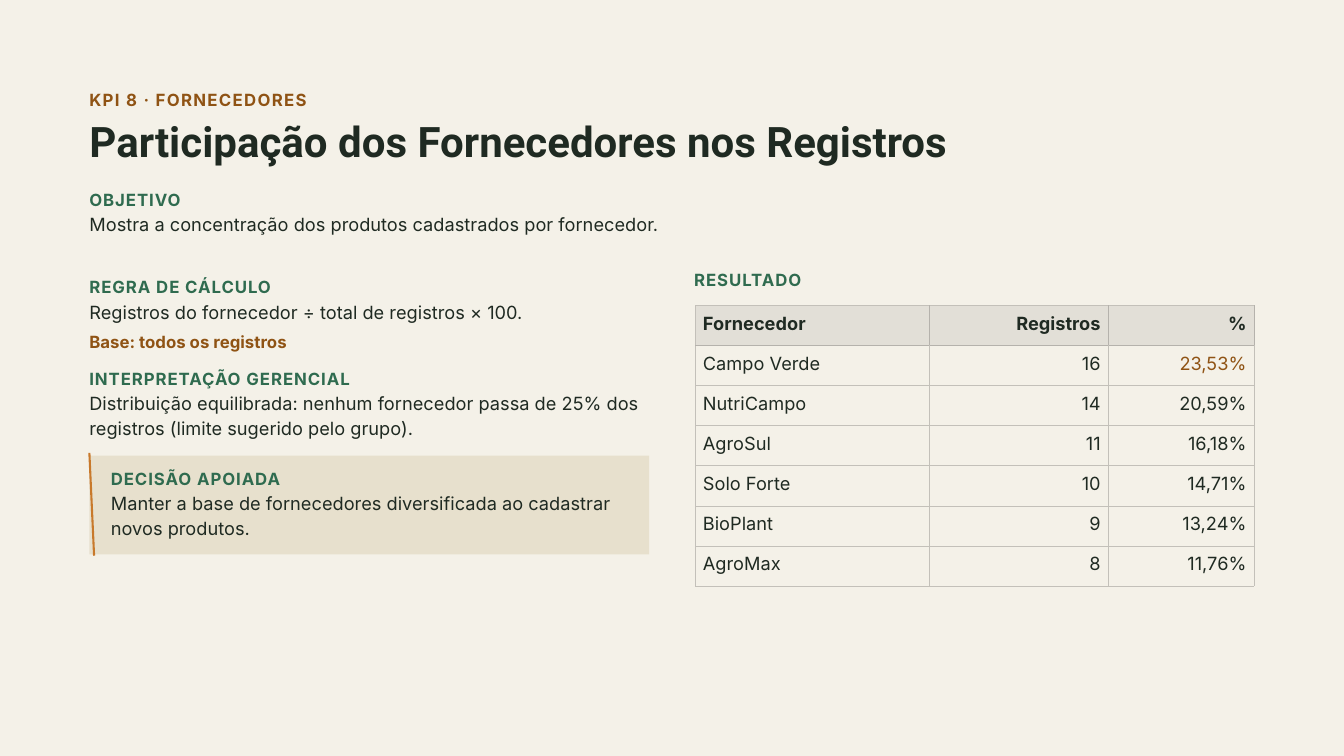
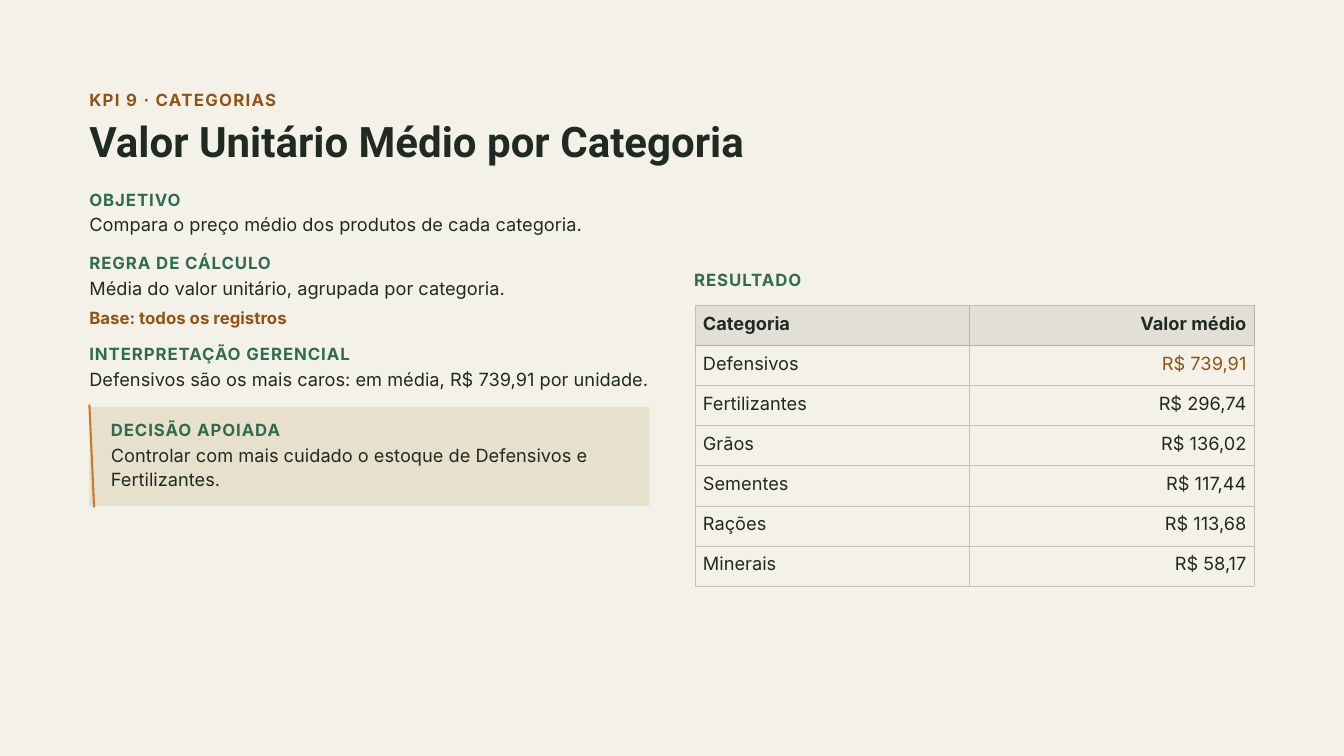
from dataclasses import dataclass

from lxml import etree
from pptx import Presentation
from pptx.dml.color import RGBColor
from pptx.enum.shapes import MSO_CONNECTOR, MSO_SHAPE
from pptx.enum.text import MSO_AUTO_SIZE, PP_ALIGN
from pptx.oxml.ns import qn
from pptx.util import Inches, Pt

# Shared colours
CREAM = RGBColor(0xF4, 0xF1, 0xE8)
INK = RGBColor(0x1F, 0x2A, 0x22)
GREEN = RGBColor(0x2F, 0x6B, 0x4F)
BROWN = RGBColor(0x8F, 0x53, 0x14)
ORANGE = RGBColor(0xC8, 0x79, 0x2B)
SAND = RGBColor(0xE7, 0xE0, 0xCD)
HEADER_FILL = RGBColor(0xE2, 0xDF, 0xD7)
GRID = RGBColor(0xC3, 0xC0, 0xB9)
HEADER_GRID = RGBColor(0xB5, 0xB2, 0xAC)

# Shared layout, in inches
LEFT = 1.33
TEXT_W = 8.58
PANEL_W = 8.33
PANEL_H = 1.47
PANEL_INDENT = 0.32
HEADING_STEP = 0.32
BASE_STEP = 0.46
BASE_H = 0.41
SECTION_GAP = 0.17
TABLE_LEFT, TABLE_TOP, TABLE_H = 10.35, 4.55, 4.17


@dataclass(frozen=True)
class TextStyle:
    size: float
    color: RGBColor
    line: float
    bold: bool = True
    font: str = "Inter"
    spacing: float = 0


KICKER = TextStyle(18, BROWN, 21.6, spacing=1.4)
TITLE = TextStyle(45, INK, 49.5, font="Roboto")
HEADING = TextStyle(18, GREEN, 21.6, spacing=1)
BODY = TextStyle(19.5, INK, 26.3, bold=False)
BASE = TextStyle(18, BROWN, 24.3)
CELL = TextStyle(19.5, INK, 23.4, bold=False)
CELL_HIGHLIGHT = TextStyle(19.5, BROWN, 23.4, bold=False)
CELL_HEADER = TextStyle(19.5, INK, 23.4)


@dataclass(frozen=True)
class Section:
    heading: str
    body: str
    lines: int = 1
    base: str = ""
    width: float = TEXT_W


@dataclass(frozen=True)
class KpiSlide:
    kicker: str
    title: str
    sections: list[Section]
    decision: str
    col_widths: list[float]
    rows: list[list[str]]


KPIS = [
    KpiSlide(
        "KPI 8 · FORNECEDORES",
        "Participação dos Fornecedores nos Registros",
        [
            Section("OBJETIVO", "Mostra a concentração dos produtos cadastrados por fornecedor.", 2),
            Section("REGRA DE CÁLCULO", "Registros do fornecedor ÷ total de registros × 100.",
                    base="Base: todos os registros"),
            Section("INTERPRETAÇÃO GERENCIAL",
                    "Distribuição equilibrada: nenhum fornecedor passa de 25% dos registros "
                    "(limite sugerido pelo grupo).", 2),
        ],
        "Manter a base de fornecedores diversificada ao cadastrar novos produtos.",
        [3.48, 2.66, 2.17],
        [
            ["Fornecedor", "Registros", "%"],
            ["Campo Verde", "16", "23,53%"],
            ["NutriCampo", "14", "20,59%"],
            ["AgroSul", "11", "16,18%"],
            ["Solo Forte", "10", "14,71%"],
            ["BioPlant", "9", "13,24%"],
            ["AgroMax", "8", "11,76%"],
        ],
    ),
    KpiSlide(
        "KPI 9 · CATEGORIAS",
        "Valor Unitário Médio por Categoria",
        [
            Section("OBJETIVO", "Compara o preço médio dos produtos de cada categoria."),
            Section("REGRA DE CÁLCULO", "Média do valor unitário, agrupada por categoria.",
                    base="Base: todos os registros"),
            Section("INTERPRETAÇÃO GERENCIAL",
                    "Defensivos são os mais caros: em média, R$ 739,91 por unidade.", width=9.02),
        ],
        "Controlar com mais cuidado o estoque de Defensivos e Fertilizantes.",
        [4.07, 4.24],
        [
            ["Categoria", "Valor médio"],
            ["Defensivos", "R$ 739,91"],
            ["Fertilizantes", "R$ 296,74"],
            ["Grãos", "R$ 136,02"],
            ["Sementes", "R$ 117,44"],
            ["Rações", "R$ 113,68"],
            ["Minerais", "R$ 58,17"],
        ],
    ),
]


def write(tf, text: str, style: TextStyle, align=PP_ALIGN.LEFT) -> None:
    tf.text = text
    p = tf.paragraphs[0]
    p.alignment = align
    p.line_spacing = Pt(style.line)
    r = p.runs[0]
    r.font.size = Pt(style.size)
    r.font.name = style.font
    r.font.bold = style.bold
    r.font.color.rgb = style.color
    if style.spacing:
        r.font._element.set("spc", str(round(style.spacing * 100)))


def add_text(s, text: str, style: TextStyle, x: float, y: float, w: float, h: float) -> None:
    tf = s.shapes.add_textbox(Inches(x), Inches(y), Inches(w), Inches(h)).text_frame
    tf.word_wrap = True
    tf.auto_size = MSO_AUTO_SIZE.SHAPE_TO_FIT_TEXT
    tf.margin_left = tf.margin_right = tf.margin_top = tf.margin_bottom = 0
    write(tf, text, style)


def body_height(lines: int) -> float:
    return 0.09 + 0.36 * lines


def add_section(s, section: Section, x: float, y: float) -> float:
    """Draw a heading with its text and return the top of the next section."""
    add_text(s, section.heading, HEADING, x, y, section.width, 0.34)
    y += HEADING_STEP
    height = body_height(section.lines)
    add_text(s, section.body, BODY, x, y, section.width, height)
    if section.base:
        y += BASE_STEP
        height = BASE_H
        add_text(s, section.base, BASE, x, y, section.width, height)
    return y + height + SECTION_GAP


def add_decision(s, text: str, y: float) -> None:
    panel = s.shapes.add_shape(MSO_SHAPE.RECTANGLE, Inches(LEFT), Inches(y),
                               Inches(PANEL_W), Inches(PANEL_H))
    panel.shadow.inherit = False
    panel.fill.solid()
    panel.fill.fore_color.rgb = SAND
    panel.line.fill.background()
    # Slightly slanted accent stroke
    stroke = s.shapes.add_connector(MSO_CONNECTOR.STRAIGHT, Inches(LEFT), Inches(y - 0.04),
                                    Inches(LEFT + 0.07), Inches(y + PANEL_H + 0.02))
    stroke.line.color.rgb = ORANGE
    stroke.line.width = Pt(2.25)
    etree.SubElement(stroke._element.spPr, qn("a:effectLst"))
    add_section(s, Section("DECISÃO APOIADA", text, 2, width=8), LEFT + PANEL_INDENT, y + 0.19)


def set_borders(cell, row: int, col: int) -> None:
    header = row == 0
    dark = {"L": header and col > 0, "R": header, "T": row == 1, "B": header}
    tc_pr = cell._tc.get_or_add_tcPr()
    for side, is_dark in dark.items():
        ln = etree.SubElement(tc_pr, qn(f"a:ln{side}"), w=str(Pt(1)))
        fill = etree.SubElement(ln, qn("a:solidFill"))
        etree.SubElement(fill, qn("a:srgbClr"), val=str(HEADER_GRID if is_dark else GRID))


def add_result_table(s, widths: list[float], rows: list[list[str]]) -> None:
    frame = s.shapes.add_table(len(rows), len(widths), Inches(TABLE_LEFT), Inches(TABLE_TOP),
                               Inches(sum(widths)), Inches(TABLE_H))
    table = frame.table
    table.first_row = table.horz_banding = False
    for column, width in zip(table.columns, widths):
        column.width = Inches(width)
    for i, values in enumerate(rows):
        table.rows[i].height = Inches(TABLE_H / len(rows))
        for j, value in enumerate(values):
            cell = table.cell(i, j)
            cell.margin_left = cell.margin_right = Inches(0.11)
            cell.margin_top = cell.margin_bottom = Inches(0.11)
            set_borders(cell, i, j)
            if i == 0:
                style = CELL_HEADER
                cell.fill.solid()
                cell.fill.fore_color.rgb = HEADER_FILL
            else:
                # The leading value is highlighted
                style = CELL_HIGHLIGHT if i == 1 and j == len(values) - 1 else CELL
                cell.fill.background()
            write(cell.text_frame, value, style, PP_ALIGN.RIGHT if j else PP_ALIGN.LEFT)


def add_kpi_slide(prs, kpi: KpiSlide) -> None:
    s = prs.slides.add_slide(prs.slide_layouts[6])
    s.background.fill.solid()
    s.background.fill.fore_color.rgb = CREAM
    # Title block
    add_text(s, kpi.kicker, KICKER, LEFT, 1.33, 17.85, 0.34)
    add_text(s, kpi.title, TITLE, LEFT, 1.78, 17.85, 0.71)
    # Left column, stacked from top to bottom
    y = 2.82
    for section in kpi.sections:
        y = add_section(s, section, LEFT, y)
    add_decision(s, kpi.decision, y)
    # Right column
    add_text(s, "RESULTADO", HEADING, 10.33, 4.02, TEXT_W, 0.34)
    add_result_table(s, kpi.col_widths, kpi.rows)


def main() -> None:
    prs = Presentation()
    prs.slide_width = Inches(20)
    prs.slide_height = Inches(11.25)
    for kpi in KPIS:
        add_kpi_slide(prs, kpi)
    prs.save("out.pptx")


if __name__ == "__main__":
    main()
